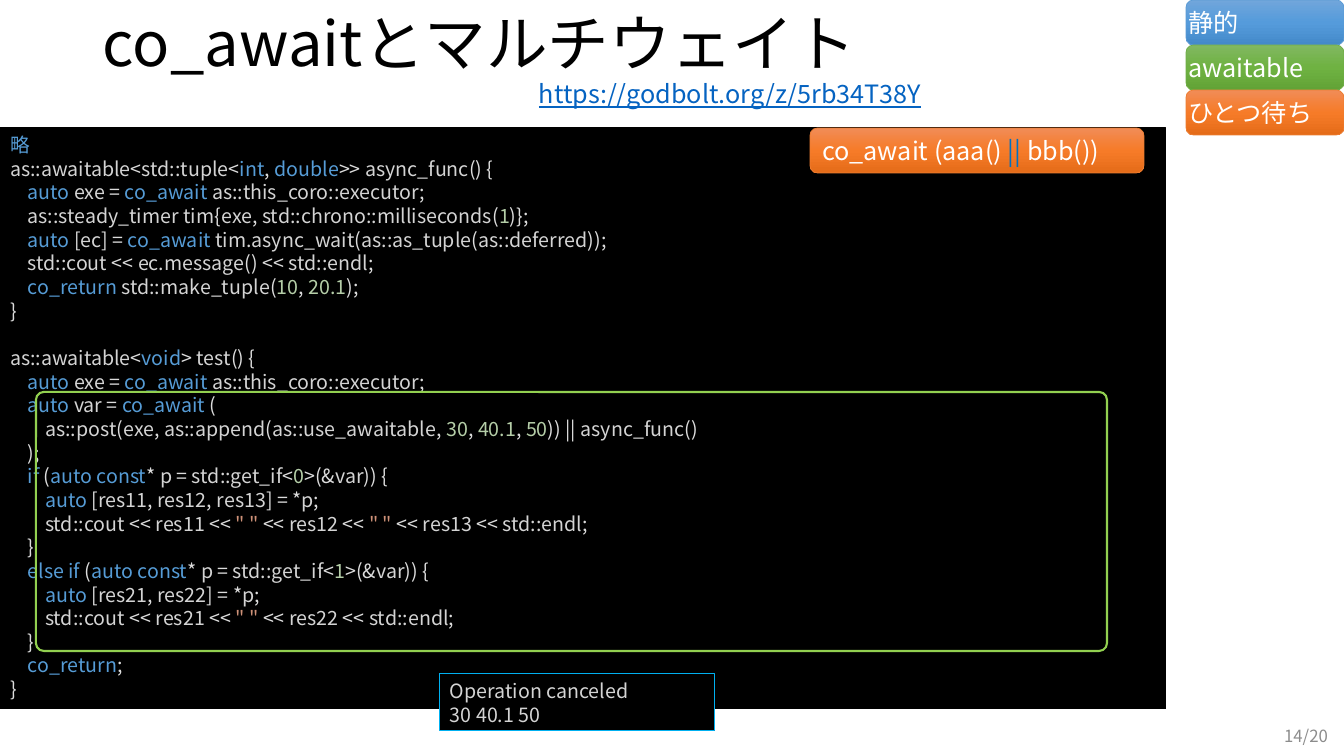
from itertools import groupby
from copy import deepcopy

from pptx import Presentation
from pptx.dml.color import RGBColor
from pptx.enum.shapes import MSO_SHAPE
from pptx.enum.text import MSO_ANCHOR, PP_ALIGN
from pptx.oxml.ns import qn
from pptx.util import Emu, Pt

RECT, ROUND = MSO_SHAPE.RECTANGLE, MSO_SHAPE.ROUNDED_RECTANGLE
TOP, MIDDLE = MSO_ANCHOR.TOP, MSO_ANCHOR.MIDDLE
LEFT, RIGHT = PP_ALIGN.LEFT, PP_ALIGN.RIGHT

EMU_PER_PX = 914400 / 100.8
FONT = "Noto Sans CJK JP"
CODE_PITCH = Pt(16.9)

BLACK = RGBColor(0x00, 0x00, 0x00)
WHITE = RGBColor(0xFF, 0xFF, 0xFF)
GRAY = RGBColor(0x8C, 0x8C, 0x8C)
LINK = RGBColor(0x05, 0x63, 0xC1)
OPERATOR = RGBColor(0x00, 0x70, 0xC0)
OUTPUT_EDGE = RGBColor(0x00, 0xB0, 0xF0)
FRAME = RGBColor(0x92, 0xD0, 0x50)

CODE_NAME = RGBColor(0xD4, 0xD4, 0xD4)
CODE_SIGN = RGBColor(0xDC, 0xDC, 0xDC)
CODE_KEYWORD = RGBColor(0x56, 0x9C, 0xD6)
CODE_NUMBER = RGBColor(0xB5, 0xCE, 0xA8)
CODE_STRING = RGBColor(0xCE, 0x91, 0x78)

# Each palette: edge, then gradient from top to bottom
BLUE = (RGBColor(0x5B, 0x9B, 0xD5), RGBColor(0x71, 0xA6, 0xDB),
        RGBColor(0x55, 0x9B, 0xDB), RGBColor(0x44, 0x8A, 0xCA))
GREEN = (RGBColor(0x70, 0xAD, 0x47), RGBColor(0x81, 0xB8, 0x61),
         RGBColor(0x6F, 0xB2, 0x42), RGBColor(0x62, 0xA3, 0x36))
ORANGE = (RGBColor(0xED, 0x7D, 0x31), RGBColor(0xF1, 0x8C, 0x57),
          RGBColor(0xF6, 0x7B, 0x28), RGBColor(0xE5, 0x6C, 0x19))

KEYWORDS = {"略", "int", "double", "void", "auto", "const", "if", "else",
            "co_await", "co_return"}
ASYNC_FUNC = """略
as::awaitable<std::tuple<int, double>> async_func() {
    auto exe = co_await as::this_coro::executor;
    as::steady_timer tim{exe, std::chrono::milliseconds(1)};
    auto [ec] = co_await tim.async_wait(as::as_tuple(as::deferred));
    std::cout << ec.message() << std::endl;
    co_return std::make_tuple(10, 20.1);
}"""
TEST_FUNC = """as::awaitable<void> test() {
    auto exe = co_await as::this_coro::executor;
    auto var = co_await (
        as::post(exe, as::append(as::use_awaitable, 30, 40.1, 50)) || async_func()
    );
    if (auto const* p = std::get_if<0>(&var)) {
        auto [res11, res12, res13] = *p;
        std::cout << res11 << " " << res12 << " " << res13 << std::endl;
    }
    else if (auto const* p = std::get_if<1>(&var)) {
        auto [res21, res22] = *p;
        std::cout << res21 << " " << res22 << std::endl;
    }
    co_return;
}"""


def token_color(token):
    if token in KEYWORDS:
        return CODE_KEYWORD
    if token[0].isdigit():
        return CODE_NUMBER
    if token[0].isalpha() or token.isspace():
        return CODE_NAME
    return CODE_SIGN


def char_kind(char):
    if char.isspace():
        return "space"
    return "word" if char.isalnum() or char in "_.:" else "sign"


def highlight(line):
    """Split a code line into (text, colour) spans, merging equal colours."""
    tokens = []
    for index, part in enumerate(line.split('"')):
        if index % 2:
            tokens.append((f'"{part}"', CODE_STRING))
            continue
        for _, chars in groupby(part, char_kind):
            token = "".join(chars)
            tokens.append((token, token_color(token)))
    return [("".join(text for text, _ in group), color)
            for color, group in groupby(tokens, lambda token: token[1])]


def write(box, paras, size, anchor=TOP, align=LEFT, inset=10, spacing=None,
          underline=None):
    """Fill a box with paragraphs, each a list of (text, colour) spans.

    An empty paragraph becomes one line of space before the next one.
    """
    frame = box.text_frame
    frame.word_wrap = True
    frame.vertical_anchor = anchor
    frame.margin_left = frame.margin_right = Emu(round(inset * EMU_PER_PX))
    para, gap = frame.paragraphs[0], None
    for index, spans in enumerate(paras):
        if not spans:
            gap = spacing
            continue
        if index:
            para = frame.add_paragraph()
        para.alignment = align
        para.line_spacing = spacing
        para.space_before, gap = gap, None
        for text, color in spans:
            span = para.add_run()
            span.text = text
            span.font.name = FONT
            span.font.size = Pt(size)
            span.font.color.rgb = color
            span.font.underline = underline
            latin = span.font._element.find(qn("a:latin"))
            latin.addnext(latin.makeelement(qn("a:ea"), {"typeface": FONT}))


class SlideBuilder:
    def __init__(self, width, height):
        self.deck = Presentation()
        self.deck.slide_width, self.deck.slide_height = self.px(width, height)
        self.page = self.deck.slides.add_slide(self.deck.slide_layouts[6])

    def px(self, *lengths):
        return [Emu(round(length * EMU_PER_PX)) for length in lengths]

    def label(self, place, text, size, color, **style):
        box = self.page.shapes.add_textbox(*self.px(*place))
        write(box, [[(text, color)]], size, **style)

    def panel(self, place, edge, weight, kind=RECT, fill=None):
        box = self.page.shapes.add_shape(kind, *self.px(*place))
        box.shadow.inherit = False
        box.line.color.rgb = edge
        box.line.width = Pt(weight)
        if fill is None:
            box.fill.background()
        else:
            box.fill.solid()
            box.fill.fore_color.rgb = fill
        return box

    def badge(self, place, spans, palette, inset=0):
        """Rounded tag with a three-stop vertical gradient."""
        edge, *shades = palette
        box = self.panel(place, edge, 0.5, ROUND)
        box.fill.gradient()
        box.fill.gradient_angle = 270
        first = box._element.spPr.find(".//" + qn("a:gs"))
        first.addnext(deepcopy(first))
        for stop, shade, position in zip(box.fill.gradient_stops, shades,
                                         (0, 0.5, 1)):
            stop.color.rgb = shade
            stop.position = position
        write(box, [spans], 18, inset=inset)


def main():
    slide = SlideBuilder(1344, 756)
    slide.label((1036, 716, 302, 40), "14/20", 12, GRAY,
                anchor=MIDDLE, align=RIGHT)
    slide.label((529, 73, 489, 40), "https://godbolt.org/z/5rb34T38Y", 18,
                LINK, underline=True)
    listing = slide.panel((0, 128, 1166, 581), BLACK, 0.75, fill=BLACK)
    lines = [*ASYNC_FUNC.splitlines(), "", *TEST_FUNC.splitlines()]
    write(listing, map(highlight, lines), 14, spacing=CODE_PITCH)
    output = slide.panel((440, 674, 275, 57), OUTPUT_EDGE, 0.75, fill=BLACK)
    write(output, [[("Operation canceled", CODE_NAME)],
                   [("30 40.1 50", CODE_NAME)]], 14, spacing=CODE_PITCH)
    slide.label((93, 0, 1246, 93), "co_awaitとマルチウェイト", 44, BLACK,
                anchor=MIDDLE, spacing=0.9)
    frame = slide.panel((36, 392, 1071, 259), FRAME, 1.5, ROUND)
    frame.adjustments[0] = 0.03
    slide.badge((810, 128, 334, 45),
                [("co_await (aaa() ", WHITE), ("|| ", OPERATOR),
                 ("bbb())", WHITE)], ORANGE, inset=10)
    tags = (("静的", BLUE), ("awaitable", GREEN), ("ひとつ待ち", ORANGE))
    for row, (text, palette) in enumerate(tags):
        slide.badge((1186, 45 * row, 158, 45), [(text, WHITE)], palette)
    slide.deck.save("out.pptx")


if __name__ == "__main__":
    main()
